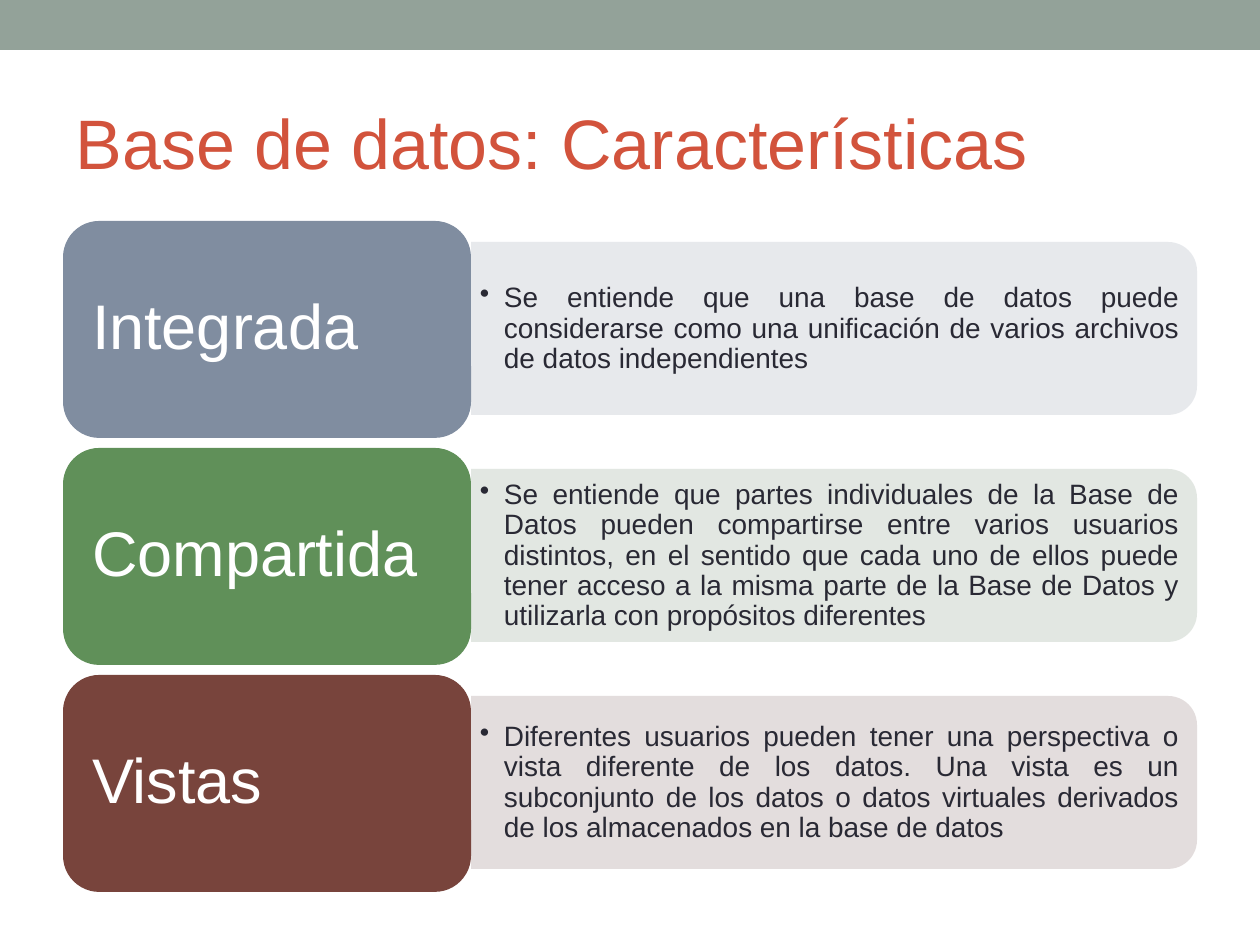
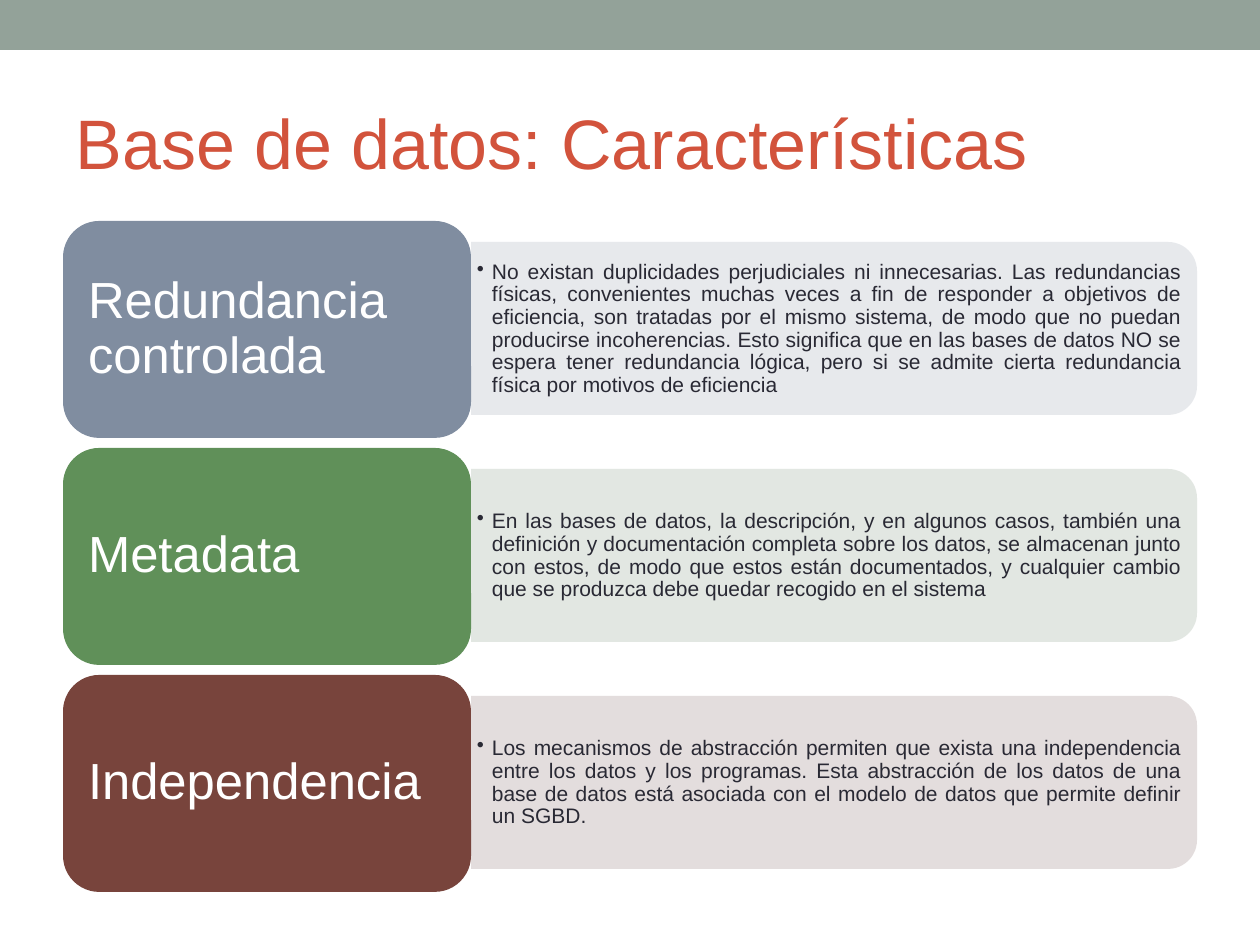
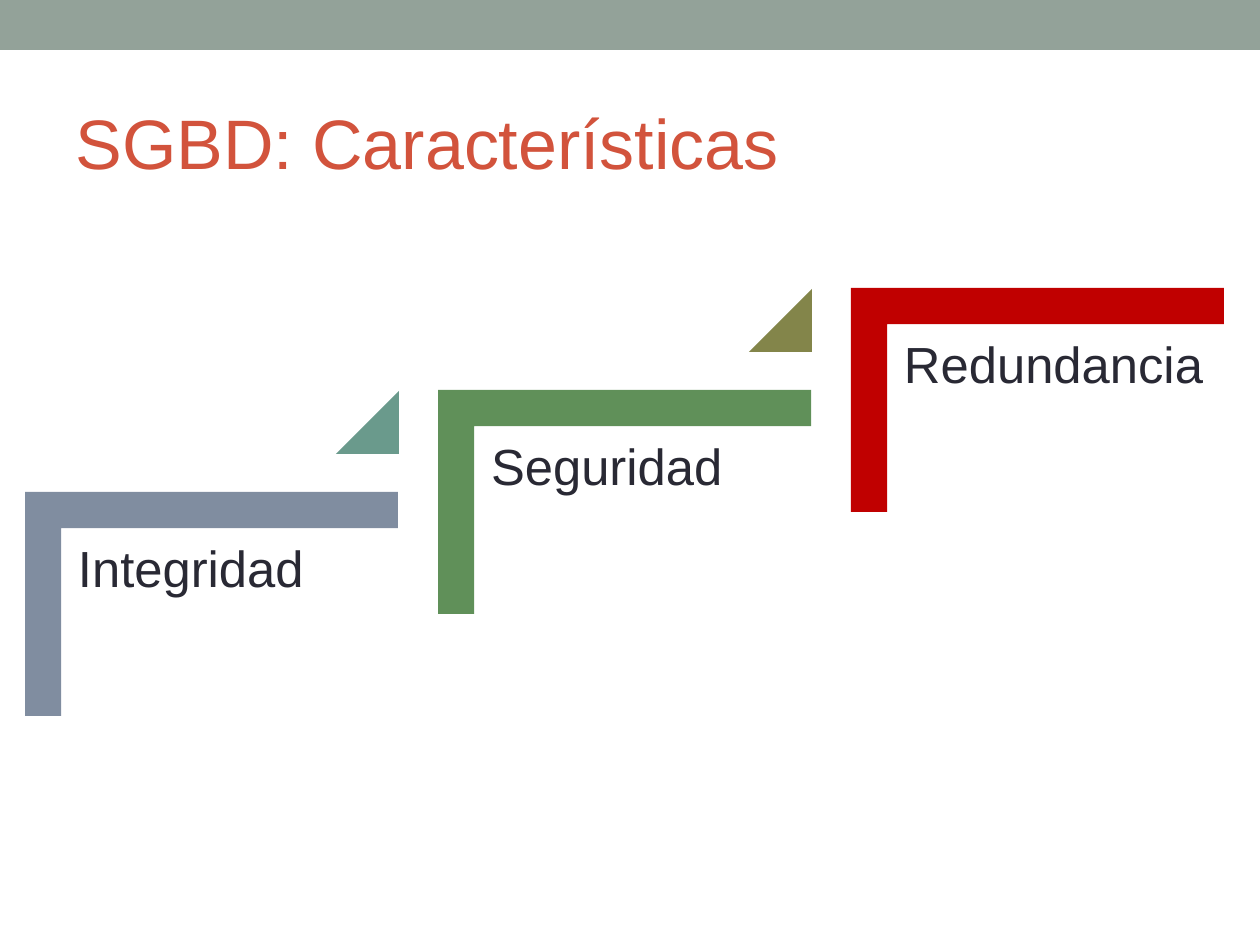
from lxml.etree import SubElement
from pptx import Presentation
from pptx.dml.color import RGBColor
from pptx.enum.shapes import MSO_SHAPE as Kind
from pptx.enum.text import MSO_ANCHOR as Anchor, MSO_AUTO_SIZE as Fit, PP_ALIGN as Align
from pptx.oxml.ns import qn
from pptx.util import Emu, Pt

PX = 914400 / 126
FONT = "Arial"
BAND, TITLE, INK, WHITE = "93A299", "D2533C", "292934", "FFFFFF"
HUES = [("808DA0", "E5E7EB"), ("609059", "DFE5DF"), ("78443C", "E1DADA")]

BIG = dict(
    label=dict(size=36, pad=(19, 9), after=12.6),
    note=dict(size=16, pad=(9, 4), after=2.4, indent=24),
)
SMALL = dict(
    label=dict(size=29, pad=(15, 8), after=10.2),
    note=dict(size=12, pad=(6, 3), after=1.8, indent=15),
)
TRAITS = "Base de datos: Características"
TABLES = [
    (TRAITS, BIG, [
        ("Integrada", "Se entiende que una base de datos puede considerarse como una uniﬁcación de varios archivos de datos independientes"),
        ("Compartida", "Se entiende que partes individuales de la Base de Datos pueden compartirse entre varios usuarios distintos, en el sentido que cada uno de ellos puede tener acceso a la misma parte de la Base de Datos y utilizarla con propósitos diferentes"),
        ("Vistas", "Diferentes usuarios pueden tener una perspectiva o vista diferente de los datos. Una vista es un subconjunto de los datos o datos virtuales derivados de los almacenados en la base de datos"),
    ]),
    (TRAITS, SMALL, [
        ("Redundancia controlada", "No existan duplicidades perjudiciales ni innecesarias. Las redundancias físicas, convenientes muchas veces a ﬁn de responder a objetivos de eﬁciencia, son tratadas por el mismo sistema, de modo que no puedan producirse incoherencias. Esto signiﬁca que en las bases de datos NO se espera tener redundancia lógica, pero si se admite cierta redundancia física por motivos de eﬁciencia"),
        ("Metadata", "En las bases de datos, la descripción, y en algunos casos, también una deﬁnición y documentación completa sobre los datos, se almacenan junto con estos, de modo que estos están documentados, y cualquier cambio que se produzca debe quedar recogido en el sistema"),
        ("Independencia", "Los mecanismos de abstracción permiten que exista una independencia entre los datos y los programas. Esta abstracción de los datos de una base de datos está asociada con el modelo de datos que permite deﬁnir un SGBD."),
    ]),
]
STEPS = [("Integridad", "808DA0", "6A9A8C"), ("Seguridad", "609059", "83854A"), ("Redundancia", "C00000", None)]


def px(*values):
    return [Emu(round(v * PX)) for v in values]


def hue(code):
    return RGBColor.from_string(code)


def place(shape, *box):
    shape.left, shape.top, shape.width, shape.height = px(*box)


def style(para, size, color, align):
    para.alignment = align
    para.font.name, para.font.size = FONT, Pt(size)
    para.font.color.rgb = hue(color)


def draw(slide, kind, box, color, adjust=(), turn=False):
    x, y, w, h = box
    if turn:
        x, y, w, h = x + (w - h) / 2, y + (h - w) / 2, h, w
    shape = slide.shapes.add_shape(kind, *px(x, y, w, h))
    for i, value in enumerate(adjust):
        shape.adjustments[i] = value
    shape.rotation = 90 if turn else 0
    shape.shadow.inherit = False
    shape.fill.solid()
    shape.fill.fore_color.rgb = hue(color)
    shape.line.fill.background()
    return shape


def fade(shape, share):
    tint = shape.element.spPr.find(qn("a:solidFill"))[0]
    SubElement(tint, qn("a:alpha"), val=str(share * 1000))


def bullet(para, indent):
    props = para._p.get_or_add_pPr()
    left = px(indent)[0]
    props.set("marL", str(left))
    props.set("indent", str(-left))
    SubElement(SubElement(props, qn("a:buClr")), qn("a:srgbClr"), val=INK)
    SubElement(props, qn("a:buChar"), char="•")


def write(slide, text, box, color, size, pad, after, indent=0, align=Align.JUSTIFY, anchor=Anchor.MIDDLE):
    frame = slide.shapes.add_textbox(*px(*box)).text_frame
    frame.word_wrap, frame.vertical_anchor = True, anchor
    frame.margin_left, frame.margin_top = frame.margin_right, frame.margin_bottom = px(*pad)
    para = frame.paragraphs[0]
    para.text = text
    if indent:
        para.level = 1
        bullet(para, indent)
    para.line_spacing, para.space_after = 0.9, Pt(after)
    style(para, size, color, align)


def start(deck, title):
    slide = deck.slides.add_slide(deck.slide_layouts[5])
    head = slide.shapes.title
    place(head, 63, 73, 1134, 136)
    frame = head.text_frame
    frame.text = title
    frame.auto_size, frame.vertical_anchor = Fit.NONE, Anchor.MIDDLE
    style(frame.paragraphs[0], 40, TITLE, Align.LEFT)
    return slide


def table(slide, look, rows):
    for i, ((label, note), (dark, pale)) in enumerate(zip(rows, HUES)):
        top = 221 + i * 227
        panel = draw(slide, Kind.ROUND_2_SAME_RECTANGLE, (471, top + 21, 726, 173), pale, (0.167, 0), True)
        fade(panel, 90)
        write(slide, note, (471, top + 30, 717, 156), INK, **look["note"])
        draw(slide, Kind.ROUNDED_RECTANGLE, (63, top, 408, 217), dark, (0.167,))
        write(slide, label, (73, top + 11, 387, 195), WHITE, **look["label"])


def stairs(slide):
    for i, (label, color, mark) in enumerate(STEPS):
        x, y = 25 + i * 413, 492 - i * 102
        draw(slide, Kind.CORNER, (x, y, 373, 224), color, (0.161, 0.161), True)
        write(slide, label, (x + 38, y + 37, 336, 295), INK, 29, (15, 15), 10.2, align=Align.LEFT, anchor=Anchor.TOP)
        if mark:
            draw(slide, Kind.ISOSCELES_TRIANGLE, (x + 311, y - 101, 63, 63), mark, (1,))


def main():
    deck = Presentation()
    deck.slide_width, deck.slide_height = px(1260, 945)
    for title, look, rows in TABLES:
        table(start(deck, title), look, rows)
    last = start(deck, "SGBD: Características")
    stairs(last)
    band = draw(last, Kind.RECTANGLE, (0, 0, 1260, 50), BAND)
    deck.slide_master.shapes.element.insert(2, band.element)
    deck.save("out.pptx")


if __name__ == "__main__":
    main()
